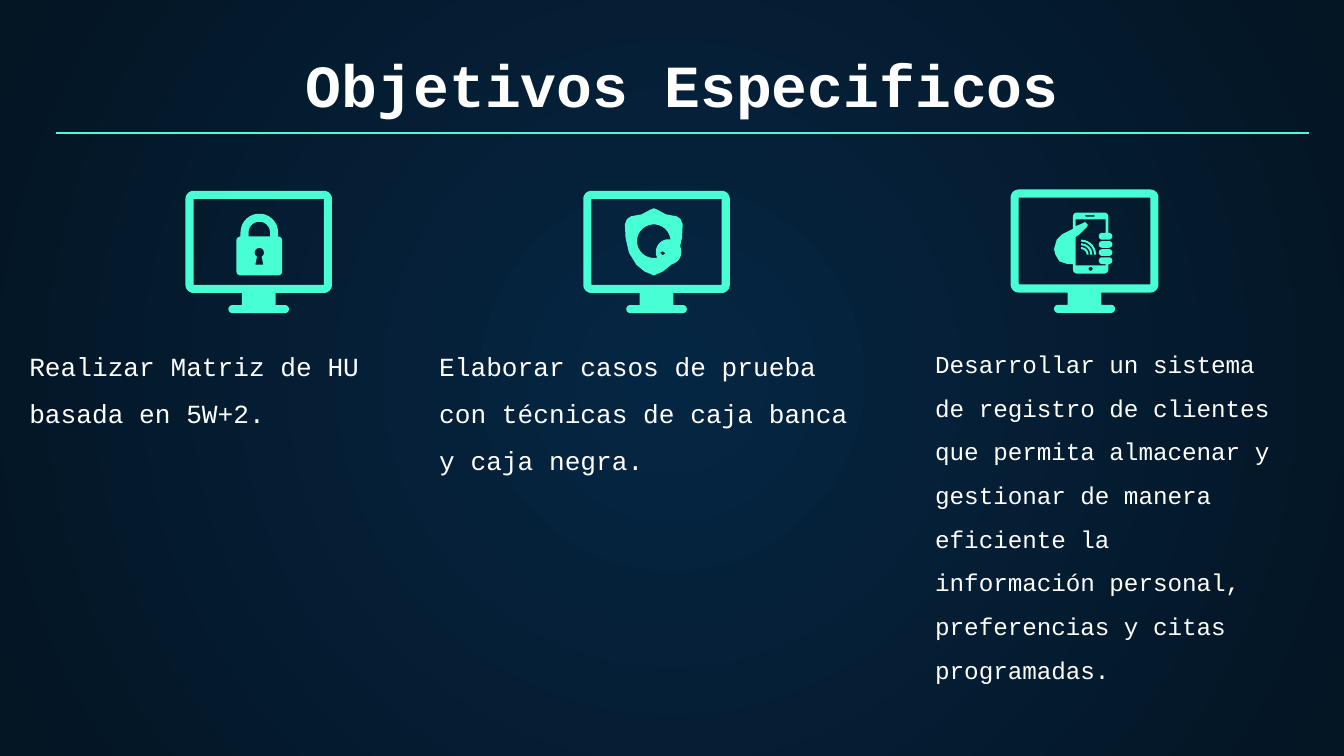
import math

import pptx
import pptx.dml.color
import pptx.enum.dml
import pptx.enum.shapes
import pptx.enum.text
import pptx.oxml
import pptx.oxml.ns
import pptx.util

WHITE = pptx.dml.color.RGBColor(0xFF, 0xFF, 0xFF)
MINT = pptx.dml.color.RGBColor(0x48, 0xFF, 0xD5)
NAVY = pptx.dml.color.RGBColor(0x05, 0x26, 0x43)
MIDNIGHT = pptx.dml.color.RGBColor(0x04, 0x15, 0x23)
FONT = "Courier New"

SLIDE_WIDTH = pptx.util.Inches(10)
SLIDE_HEIGHT = pptx.util.Inches(5.625)
GRID = SLIDE_WIDTH / 100
ICON_COLUMNS = 109


def grid_box(*cells):
    return [round(cell * GRID) for cell in cells]


def arc(center_x, center_y, radius, start=0, end=360):
    steps = max(4, abs(end - start) // 12)
    angles = [math.radians(start + (end - start) * step / steps) for step in range(steps + 1)]
    return [(center_x + radius * math.cos(a), center_y + radius * math.sin(a)) for a in angles]


def rounded(left, top, width, height, radius):
    right, bottom = left + width - radius, top + height - radius
    left, top = left + radius, top + radius
    corners = [(left, top, 180), (right, top, 270), (right, bottom, 0), (left, bottom, 90)]
    return [point for x, y, start in corners for point in arc(x, y, radius, start, start + 90)]


def band(center_x, center_y, outer, inner, start, end):
    return arc(center_x, center_y, outer, start, end) + arc(center_x, center_y, inner, end, start)


def monitor():
    return [[
        rounded(0, 0, 109, 76, 6),
        rounded(6, 6, 97, 64, 0.5),
        [(42, 76), (67, 76), (67, 85), (42, 85)],
        rounded(32, 85, 45, 6, 3),
    ]]


def padlock():
    shackle = arc(55, 31, 14, 180, 360) + [(69, 34), (63, 34)]
    shackle += arc(55, 31, 8, 360, 180) + [(47, 34), (41, 34)]
    keyhole = arc(55, 46, 3.5, 120, 420) + [(58, 55), (52, 55)]
    return [[rounded(38, 34, 34, 29, 3), shackle, keyhole]]


def shield():
    middle = 52.5
    half = [(0, 13), (2.5, 14), (9, 17.5), (17, 19), (20, 21), (21.5, 25),
            (21, 35), (18.5, 46), (13, 55), (7, 60), (0, 63)]
    outline = [(middle + x, y) for x, y in half] + [(middle - x, y) for x, y in reversed(half)]
    check = [(68, 41), (70, 43), (62, 51), (57, 46), (59, 45), (62, 47)]
    return [
        [arc(63.5, 45.5, 9.5), check],
        [outline, arc(middle, 37.5, 12.5)],
    ]


def phone_in_hand():
    outline = arc(49, 20, 3, 270, 180) + [
        (46, 29), (38, 33), (34, 37), (32, 44), (33, 48), (36, 53), (42, 55), (46, 55)]
    outline += arc(49, 59, 3, 180, 90) + arc(69, 59, 3, 90, 0)
    outline += [(72, 55)] + arc(72.5, 52.5, 2.5, 90, -90)
    outline += arc(67.5, 52.5, 2.5, 270, 90) + [(70, 55), (70, 56), (48, 56), (48, 35)]
    outline += [(51, 33), (56, 28), (57, 26), (55, 24), (53, 25), (48, 27), (48, 22), (70, 22)]
    outline += [(70, 32)] + arc(67.5, 34.5, 2.5, 270, 90) + arc(72.5, 34.5, 2.5, 90, -90)
    outline += [(72, 32)] + arc(69, 20, 3, 0, -90)
    fingers = [rounded(65, top, 10, 5, 2.5) for top in (38, 44)]
    waves = [band(52, 48, outer, outer - 1.5, 270, 360) for outer in (5.5, 8.25, 11)]
    return [[outline, rounded(55, 19, 7, 1, 0.5), arc(59, 58.5, 1.5)] + fingers + waves]


def add_outline(slide, contours, left, top, unit):
    builder = None
    for contour in contours:
        points = [(left + x * unit, top + y * unit) for x, y in contour]
        if builder is None:
            builder = slide.shapes.build_freeform(*points[0])
        else:
            builder.move_to(*points[0])
        builder.add_line_segments(points[1:], close=True)
    shape = builder.convert_to_shape()
    shape.shadow.inherit = False
    shape.fill.solid()
    shape.fill.fore_color.rgb = MINT
    shape.line.fill.background()


def add_icon(slide, symbol, left, top, width):
    left, top, width = grid_box(left, top, width)
    for contours in monitor() + symbol():
        add_outline(slide, contours, left, top, width / ICON_COLUMNS)


def format_text(text_frame, size, bold=False):
    text_frame.word_wrap = True
    text_frame.auto_size = pptx.enum.text.MSO_AUTO_SIZE.NONE
    for side in ("left", "top", "right", "bottom"):
        setattr(text_frame, "margin_" + side, pptx.util.Inches(0.1))
    for run in text_frame.paragraphs[0].runs:
        run.font.name = FONT
        run.font.size = pptx.util.Pt(size)
        run.font.bold = bold
        run.font.color.rgb = WHITE


def add_heading(slide, text, left, top, width, height):
    left, top, width, height = grid_box(left, top, width, height)
    title = slide.shapes.title
    title.left, title.top, title.width, title.height = left, top, width, height
    title.text_frame.text = text
    title.text_frame.vertical_anchor = pptx.enum.text.MSO_ANCHOR.BOTTOM
    title.text_frame.paragraphs[0].alignment = pptx.enum.text.PP_ALIGN.CENTER
    format_text(title.text_frame, 32, bold=True)
    rule = slide.shapes.add_connector(
        pptx.enum.shapes.MSO_CONNECTOR.STRAIGHT, left, top + height, left + width, top + height)
    rule.line.color.rgb = MINT
    rule.line.width = pptx.util.Pt(0.75)
    rule._element.spPr.append(pptx.oxml.parse_xml(
        "<a:effectLst %s/>" % pptx.oxml.ns.nsdecls("a")))


def add_objective(slide, text, size, left, top, width, height):
    text_frame = slide.shapes.add_textbox(*grid_box(left, top, width, height)).text_frame
    text_frame.text = text
    paragraph = text_frame.paragraphs[0]
    paragraph.line_spacing = 1.5
    paragraph.space_after = pptx.util.Pt(8)
    format_text(text_frame, size)


def set_background(slide):
    fill = slide.background.fill
    fill.gradient()
    for stop, color, position in zip(fill.gradient_stops, (NAVY, MIDNIGHT), (0, 1)):
        stop.color.rgb = color
        stop.position = position
    linear = slide._element.xpath(".//p:bg//a:lin")[0]
    linear.getparent().replace(linear, pptx.oxml.parse_xml(
        '<a:path %s path="circle"><a:fillToRect l="50000" t="50000" r="50000" b="50000"/></a:path>'
        % pptx.oxml.ns.nsdecls("a")))


def main():
    presentation = pptx.Presentation()
    presentation.slide_width = SLIDE_WIDTH
    presentation.slide_height = SLIDE_HEIGHT
    slide = presentation.slides.add_slide(presentation.slide_layouts[5])
    set_background(slide)
    add_heading(slide, "Objetivos Especificos", 4.2, 3.3, 93.2, 6.6)
    objectives = [
        ("Realizar Matriz de HU basada en 5W+2.", 14, (1.2, 23.9, 29.6, 30),
         padlock, (13.8, 14.2, 10.9)),
        ("Elaborar casos de prueba con técnicas de caja banca y caja negra.", 14,
         (31.7, 23.9, 34.6, 32.4), shield, (43.4, 14.2, 10.9)),
        ("Desarrollar un sistema de registro de clientes que permita almacenar y gestionar "
         "de manera eficiente la información personal, preferencias y citas programadas.", 13,
         (68.6, 23.9, 27.1, 30), phone_in_hand, (75.2, 14.1, 11)),
    ]
    for text, size, text_box, symbol, icon_box in objectives:
        add_objective(slide, text, size, *text_box)
        add_icon(slide, symbol, *icon_box)
    presentation.save("out.pptx")


if __name__ == "__main__":
    main()
